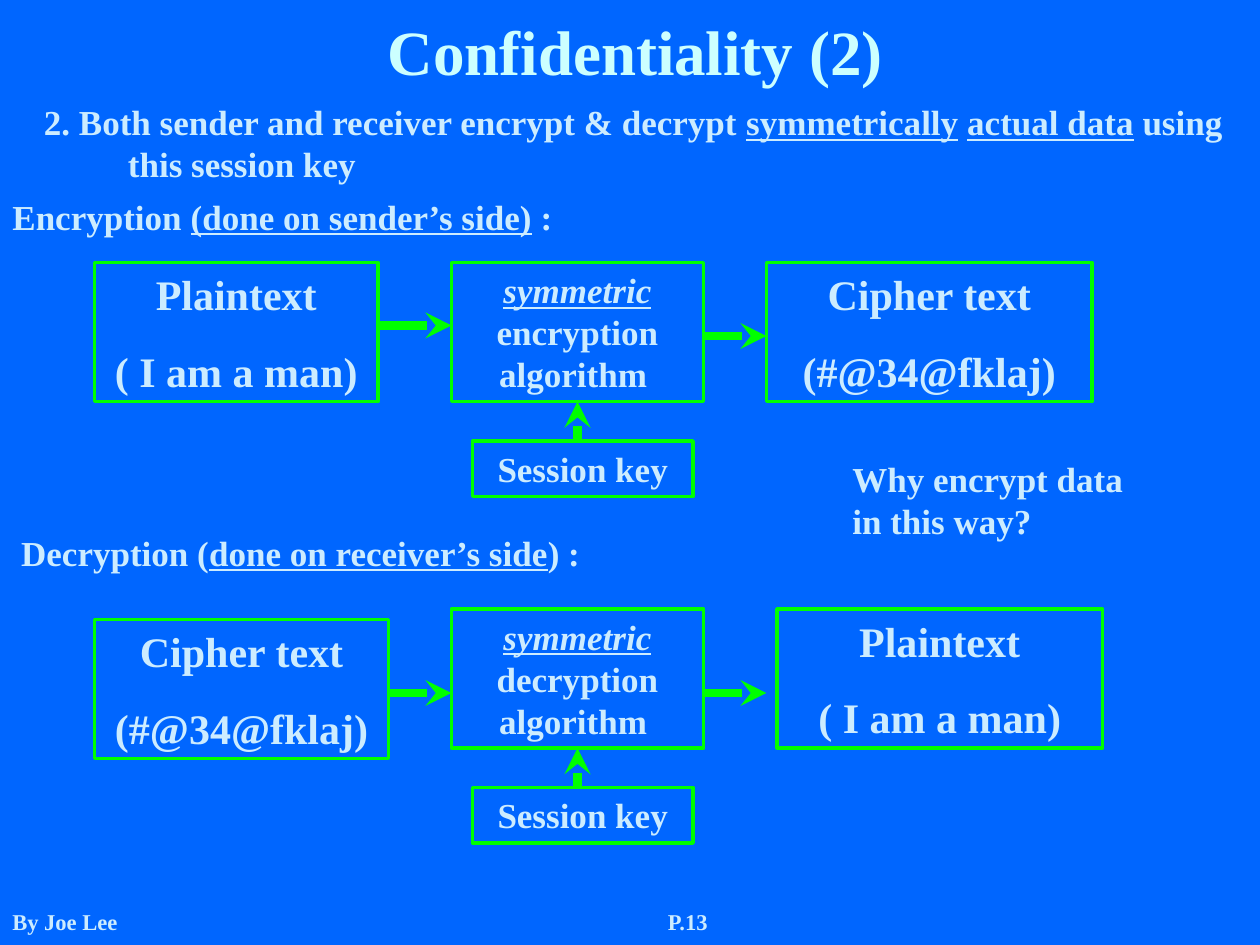
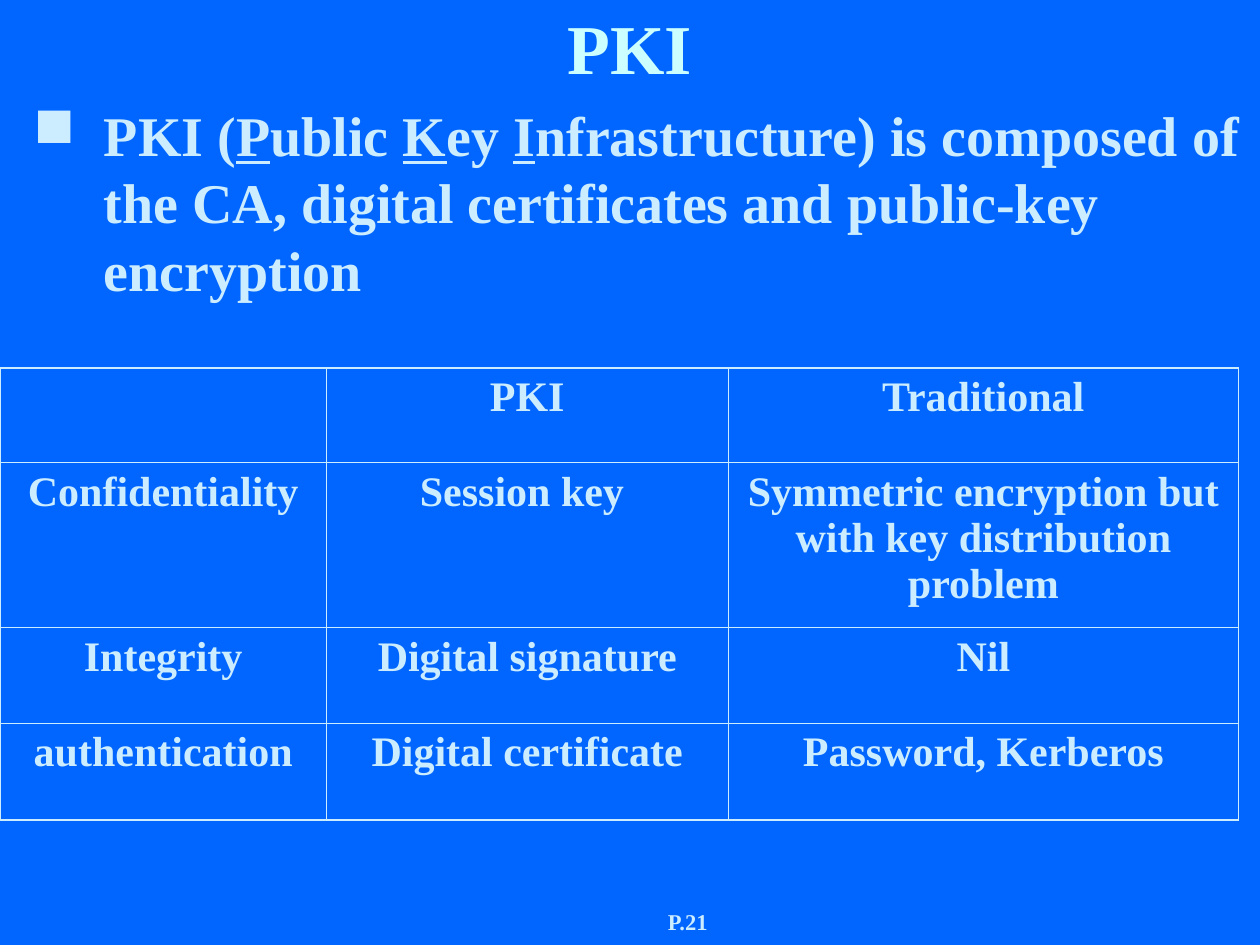
from lxml import etree
from pptx import Presentation, util as u
from pptx.dml.color import RGBColor
from pptx.enum import shapes, text
from pptx.oxml import ns

# Shared look
FONT = "Times New Roman"
BLUE, PALE, MINT, GREEN = "0066FF", "CCECFF", "CCFFFF", "00FF00"
LEFT, MID = text.PP_ALIGN.LEFT, text.PP_ALIGN.CENTER
TOP, LOW = text.MSO_ANCHOR.TOP, text.MSO_ANCHOR.BOTTOM
GRID = 12  # grid steps per inch
FOOT = 82, 8  # top and height of the footer

# Slide 1; underscores enclose underlined words, places are grid steps
PLAIN = ["Plaintext", "( I am a man)"]
CIPHER = ["Cipher text", "(#@34@fklaj)"]
NOTES = [
    ("Encryption _(done on sender’s side)_ :", (0, 18, 56, 5.3), 0),
    (" Decryption (_done on receiver’s side_) :", (0, 50, 58, 6), 0),
    ("2. Both sender and receiver encrypt & decrypt _symmetrically_ "
     "_actual data_ using this session key", (3, 9, 117, 8), 8),
    ("Why encrypt data in this way?", (80, 43, 30, 9.2), 0),
]
# Each flow: top, input and output (text, left, top, width), task, arrow heights
FLOWS = [
    (25, (PLAIN, 9, 25, 27), (CIPHER, 73, 25, 31), "encryption", (31, 32)),
    (58, (CIPHER, 9, 59, 28), (PLAIN, 74, 58, 31), "decryption", (66, 66)),
]
ALGO, KEY = (43, 24), (45, 21)  # left and width
TALL, FLAT, DROP = 13.25, 5.3, 17  # box heights, step down to the key

# Slide 2
POINT = ("PKI (_P_ublic _K_ey _I_nfrastructure) is composed of the CA, "
         "digital certificates and public-key encryption")
ROWS = [
    ["", "PKI", "Traditional"],
    ["Confidentiality", "Session key ",
     "Symmetric encryption but with key distribution problem"],
    ["Integrity", "Digital signature", "Nil"],
    ["authentication", "Digital certificate", "Password, Kerberos"],
]
WIDTHS, HEIGHTS = [2.59, 3.19, 4.05], [0.75, 1.31, 0.76, 0.77]


def paint(hue):
    return RGBColor.from_string(hue)


def steps(*vals):
    return [u.Inches(v / GRID) for v in vals]


def add(node, tag, **attrs):
    return etree.SubElement(node, ns.qn(tag), attrs)


# Text
def write(para, line, size, hue=PALE, align=LEFT, slant=False):
    para.alignment = align
    font = para.font
    font.name, font.size, font.bold = FONT, u.Pt(size), True
    font.color.rgb = paint(hue)
    for n, part in enumerate(line.split("_")):
        if part:
            run = para.add_run()
            run.text = part
            if n % 2:
                run.font.underline = True
                run.font.italic = slant or None


def hang(para, indent, mark=None):
    props = para._p.get_or_add_pPr()
    props.set("marL", str(u.Inches(indent)))
    props.set("indent", str(-u.Inches(indent)))
    if mark:
        add(add(props, "a:buClr"), "a:srgbClr", val=PALE)
        add(props, "a:buChar", char=mark)


def label(slide, line, place, size, anchor=TOP, **style):
    frame = slide.shapes.add_textbox(*steps(*place)).text_frame
    frame.word_wrap, frame.vertical_anchor = True, anchor
    para = frame.paragraphs[0]
    indent, mark = style.pop("indent", 0), style.pop("mark", None)
    if indent:
        hang(para, indent, mark)
    write(para, line, size, **style)
    return frame


def start(deck, title, place, size, page):
    slide = deck.slides.add_slide(deck.slide_layouts[6])
    fill = slide.background.fill
    fill.solid()
    fill.fore_color.rgb = paint(BLUE)
    label(slide, title, place, size, LOW, hue=MINT, align=MID)
    footer(slide, page, 53, 25, MID)
    return slide


def footer(slide, line, left, width, align):
    place = left, FOOT[0], width, FOOT[1]
    frame = label(slide, line, place, 12.9, LOW, align=align)
    frame.margin_bottom = u.Inches(0.08)


# Diagram
def box(slide, lines, place, size, slant=False):
    rect = slide.shapes.add_shape(shapes.MSO_SHAPE.RECTANGLE, *steps(*place))
    rect.shadow.inherit = False
    rect.fill.background()
    rect.line.color.rgb, rect.line.width = paint(GREEN), u.Pt(2)
    frame = rect.text_frame
    frame.word_wrap, frame.vertical_anchor = True, TOP
    for n, line in enumerate(lines):
        para = frame.add_paragraph() if n else frame.paragraphs[0]
        if n:
            para.space_before = u.Pt(15)
        write(para, line, size, align=MID, slant=slant)
    return rect


def arrow(slide, *ends):
    link = slide.shapes.add_connector(shapes.MSO_CONNECTOR.STRAIGHT, *steps(*ends))
    link.line.color.rgb, link.line.width = paint(GREEN), u.Pt(5)
    add(link.line._get_or_add_ln(), "a:tailEnd", type="stealth")
    add(link._element.spPr, "a:effectLst")
    return link


def flow(slide, top, source, result, task, levels):
    for lines, left, high, width in (source, result):
        box(slide, lines, (left, high, width, TALL), 24)
    left, width = ALGO
    algo = box(slide, [f"_symmetric_ {task} algorithm "],
               (left, top, width, TALL), 20, slant=True)
    box(slide, ["Session key"], (KEY[0], top + DROP, KEY[1], FLAT), 20)
    arrow(slide, source[1] + source[3], levels[0], left, levels[0])
    arrow(slide, left + width, levels[1], left + width + 6, levels[1])
    axis = left + width / 2
    up = arrow(slide, axis, top + DROP, axis, top + TALL)
    up.end_connect(algo, 2)


# Table
def border(cell, edges):
    props = cell._tc.get_or_add_tcPr()
    for n, (side, outer) in enumerate(edges):
        line = etree.Element(ns.qn(f"a:ln{side}"),
                             w=str(u.Pt(1.08 if outer else 0.45)))
        add(add(line, "a:solidFill"), "a:srgbClr", val=PALE)
        props.insert(n, line)


def table(slide):
    size = u.Inches(sum(WIDTHS)), u.Inches(sum(HEIGHTS))
    grid = slide.shapes.add_table(len(ROWS), len(WIDTHS), 0,
                                  u.Inches(2.92), *size).table
    grid.first_row = grid.horz_banding = False
    for col, width in zip(grid.columns, WIDTHS):
        col.width = u.Inches(width)
    for r, (row, high) in enumerate(zip(ROWS, HEIGHTS)):
        grid.rows[r].height = u.Inches(high)
        for c, line in enumerate(row):
            cell = grid.cell(r, c)
            cell.fill.background()
            write(cell.text_frame.paragraphs[0], line, 24, align=MID)
            border(cell, [("L", c == 0), ("R", c == len(WIDTHS) - 1),
                          ("T", r == 0), ("B", r == len(ROWS) - 1)])


def main():
    deck = Presentation()
    deck.slide_width, deck.slide_height = u.Inches(10), u.Inches(7.5)

    slide = start(deck, "Confidentiality (2)", (3, 2, 115, 7), 36, "P.13")
    footer(slide, "By Joe Lee", 0, 38, LEFT)
    for args in FLOWS:
        flow(slide, *args)
    for line, place, indent in NOTES:
        label(slide, line, place, 20, indent=indent / GRID)

    slide = start(deck, "PKI", (9, 0, 102, 9), 40, "P.21")
    label(slide, POINT, (2, 9, 118, 81), 32, indent=0.56, mark="■")
    table(slide)
    deck.save("out.pptx")


if __name__ == "__main__":
    main()
